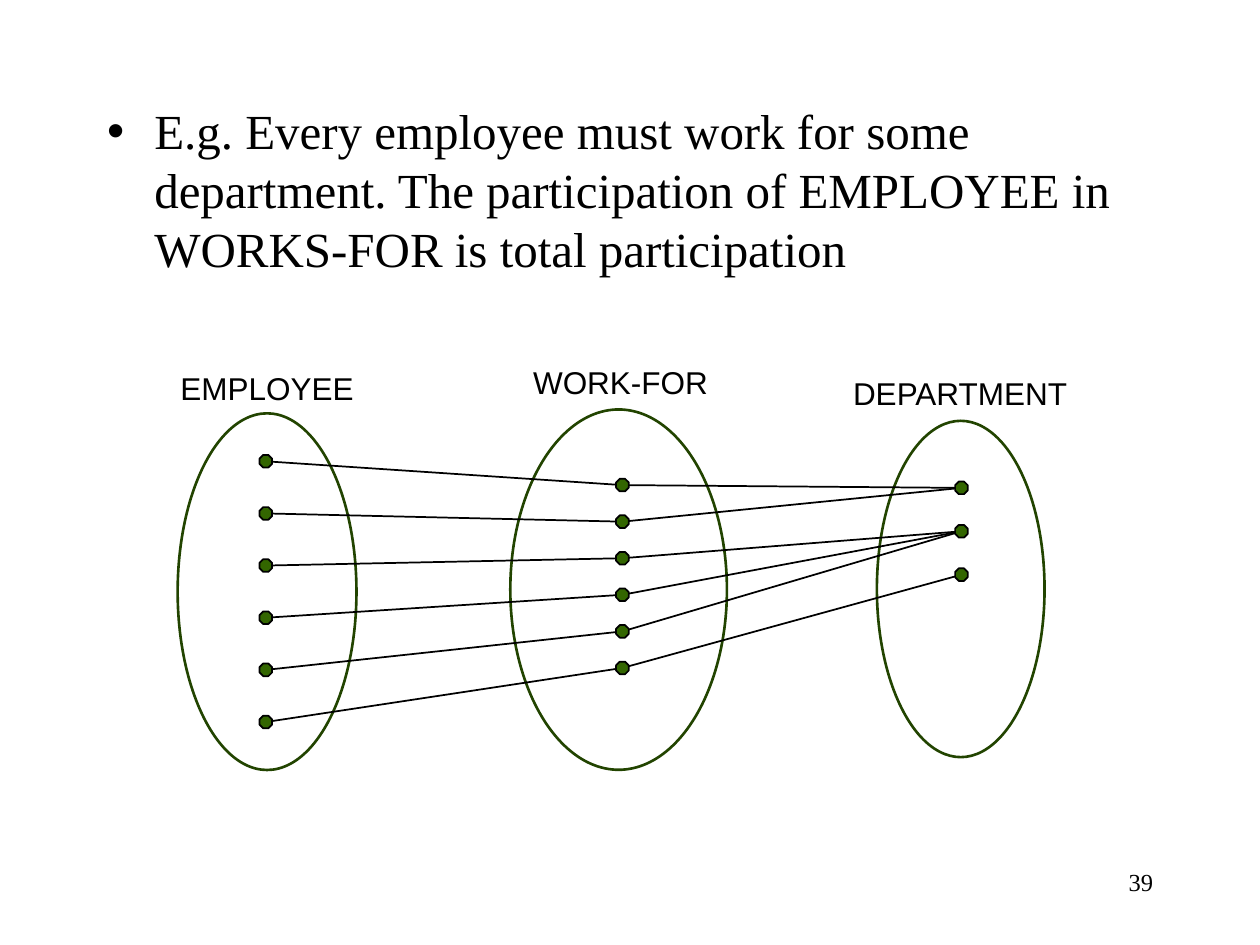
from lxml import etree
from pptx import Presentation
from pptx.dml.color import RGBColor
from pptx.enum.shapes import MSO_CONNECTOR as Connector, MSO_SHAPE as Shape
from pptx.enum.text import MSO_ANCHOR as Anchor, PP_ALIGN as Align
from pptx.oxml.ns import qn
from pptx.util import Pt

COLORS = {"text": "000000", "set_fill": "FFFFFF", "set_line": "224400", "dot": "336600"}
DOT_SIZE = 7.2

# label, label centre and top, ellipse box, then dot x, first dot y, dot gap, dot count
SETS = [
    ("EMPLOYEE", (152.6, 207.4), (101.5, 236.2, 102.2, 203.8), (151.9, 263.6, 29.8, 6)),
    ("WORK-FOR", (354.6, 203.8), (291.6, 234, 123.8, 205.9), (355.7, 277.2, 20.9, 6)),
    ("DEPARTMENT", (548.6, 210.2), (501.1, 240.5, 95.8, 192.2), (549.4, 278.8, 24.8, 3)),
]
DEPARTMENT_OF = [0, 0, 1, 1, 1, 2]


def color(name):
    return RGBColor.from_string(COLORS[name])


def format_font(font, **values):
    font.color.rgb = color("text")
    for name, value in values.items():
        setattr(font, name, value)


def add_label(slide, text, box, align, **font):
    label = slide.shapes.add_textbox(*map(Pt, box))
    frame = label.text_frame
    frame.word_wrap = True
    paragraph = frame.paragraphs[0]
    paragraph.text = text
    paragraph.alignment = align
    format_font(paragraph.runs[0].font, **font)


def add_outlined(slide, kind, box, fill, line, width):
    outlined = slide.shapes.add_shape(kind, *map(Pt, box))
    outlined.shadow.inherit = False
    outlined.fill.solid()
    outlined.fill.fore_color.rgb = color(fill)
    outlined.line.color.rgb = color(line)
    outlined.line.width = Pt(width)


def add_link(slide, start, end):
    link = slide.shapes.add_connector(Connector.STRAIGHT, *map(Pt, start + end))
    link.line.color.rgb = color("text")
    link.line.width = Pt(1)
    etree.SubElement(link._element.spPr, qn("a:effectLst"))


def add_dot(slide, center):
    x, y = center
    corner = (x - DOT_SIZE / 2, y - DOT_SIZE / 2)
    add_outlined(slide, Shape.OCTAGON, corner + (DOT_SIZE, DOT_SIZE), "dot", "text", 1)


def fill_body(body, text):
    box = {"left": 54, "top": 54, "width": 612, "height": 426}
    for name, value in box.items():
        setattr(body, name, Pt(value))
    body.text_frame.vertical_anchor = Anchor.TOP
    paragraph = body.text_frame.paragraphs[0]
    paragraph.text = text
    paragraph.space_before = Pt(0)
    properties = paragraph._p.get_or_add_pPr()
    properties.set("marL", str(Pt(27)))
    properties.set("indent", str(Pt(-27)))
    etree.SubElement(properties, qn("a:buChar")).set("char", "•")
    format_font(paragraph.runs[0].font, name="Times New Roman", size=Pt(28))


def add_mapping(slide):
    """Draw the three sets, their members and the links between members."""
    columns = []
    for label, (center, top), ellipse, (x, first, gap, count) in SETS:
        add_outlined(slide, Shape.OVAL, ellipse, "set_fill", "set_line", 1.5)
        add_label(slide, label, (center - 70, top, 140, 28.8), Align.CENTER,
                  name="Arial", size=Pt(18))
        columns.append([(x, first + gap * i) for i in range(count)])

    employees, relations, departments = columns
    for employee, relation, department in zip(employees, relations, DEPARTMENT_OF):
        add_link(slide, employee, relation)
        add_link(slide, relation, departments[department])
    for center in employees + relations + departments:
        add_dot(slide, center)


def main():
    deck = Presentation()
    deck.slide_width, deck.slide_height = Pt(720), Pt(540)
    slide = deck.slides.add_slide(deck.slide_layouts[1])
    title = slide.shapes.title._element
    title.getparent().remove(title)

    fill_body(slide.placeholders[1],
              "E.g. Every employee must work for some department. "
              "The participation of EMPLOYEE in WORKS-FOR is total participation")
    add_label(slide, "39", (516.2, 491.8, 149.8, 36), Align.RIGHT,
              name="Times New Roman", size=Pt(14))
    add_mapping(slide)
    deck.save("out.pptx")


if __name__ == "__main__":
    main()
